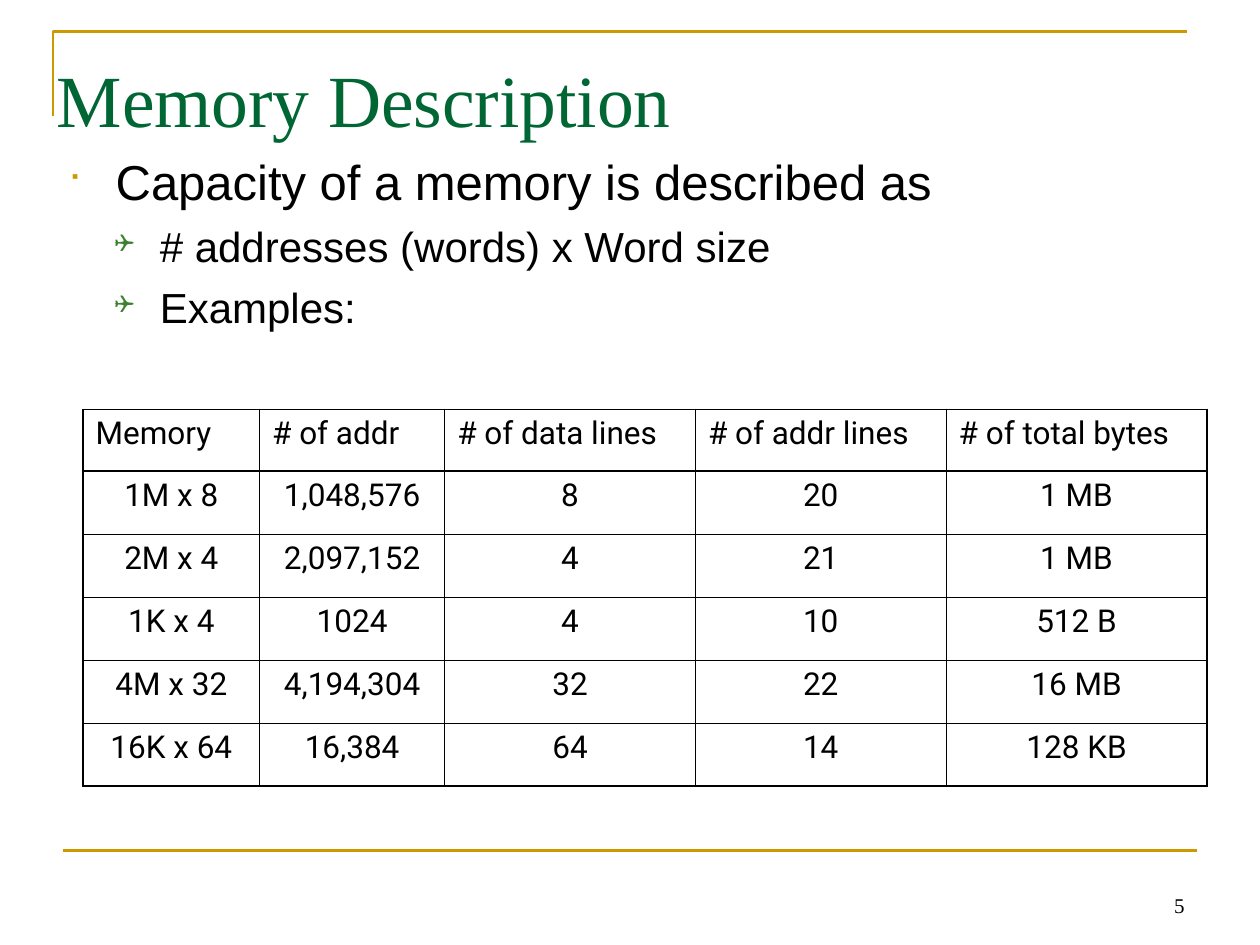
from lxml.etree import SubElement
from pptx import Presentation
from pptx.dml.color import RGBColor
from pptx.enum.text import MSO_ANCHOR, PP_ALIGN
from pptx.oxml.ns import qn
from pptx.util import Inches, Pt

GOLD = RGBColor(0xCC, 0x99, 0x00)
GREEN = RGBColor(0x00, 0x66, 0x33)
LEAF = RGBColor(0x3B, 0x81, 0x2F)
BLACK = RGBColor(0, 0, 0)
THIN, THICK = Pt(0.45), Pt(1.08)

# text, size, left margin, hanging indent, space before, bullet, colour, bullet %
OUTLINE = [
    ("Capacity of a memory is described as", 28, 0.38, 0.38, 7, "■", GOLD, 65),
    ("# addresses (words) x Word size", 24, 0.73, 0.36, 6, "❑", LEAF, 60),
    ("Examples:", 24, 0.73, 0.36, 6, "❑", LEAF, 60),
]
COLUMN_WIDTHS = [1.4, 1.47, 1.99, 1.99, 2.07]
MEMORIES = [
    ["Memory", "# of addr", "# of data lines", "# of addr lines", "# of total bytes"],
    ["1M x 8", "1,048,576", "8", "20", "1 MB"],
    ["2M x 4", "2,097,152", "4", "21", "1 MB"],
    ["1K x 4", "1024", "4", "10", "512 B"],
    ["4M x 32", "4,194,304", "32", "22", "16 MB"],
    ["16K x 64", "16,384", "64", "14", "128 KB"],
]


def add_run(paragraph, text, size, font, color=BLACK):
    run = paragraph.add_run()
    run.text = text
    run.font.size = Pt(size)
    run.font.name = font
    run.font.color.rgb = color


def add_frame_lines(slide):
    builder = slide.shapes.build_freeform(Inches(0.42), Inches(0.92))
    builder.add_line_segments(
        [(Inches(0.42), Inches(0.25)), (Inches(9.42), Inches(0.25))], close=False)
    corner = builder.convert_to_shape()
    corner.shadow.inherit = False
    corner.fill.background()
    footer_rule = slide.shapes.add_connector(
        1, Inches(0.5), Inches(6.75), Inches(9.5), Inches(6.75))
    SubElement(footer_rule._element.spPr, qn("a:effectLst"))
    for rule in (corner, footer_rule):
        rule.line.color.rgb = GOLD
        rule.line.width = Pt(1.5)


def add_title(slide, text):
    title = slide.shapes.title
    title.left, title.top = Inches(0.35), Inches(0.35)
    title.width, title.height = Inches(9), Inches(0.83)
    title.text_frame.vertical_anchor = MSO_ANCHOR.BOTTOM
    heading = title.text_frame.paragraphs[0]
    heading.alignment = PP_ALIGN.LEFT
    add_run(heading, text, 42, "Times New Roman", GREEN)


def add_text_frame(slide, left, top, width, height):
    frame = slide.shapes.add_textbox(
        Inches(left), Inches(top), Inches(width), Inches(height)).text_frame
    frame.word_wrap = True
    return frame


def set_bullet(paragraph, left, hanging, symbol, color, percent):
    properties = paragraph._p.get_or_add_pPr()
    properties.set("marL", str(Inches(left)))
    properties.set("indent", str(-Inches(hanging)))
    bullet_color = SubElement(properties, qn("a:buClr"))
    SubElement(bullet_color, qn("a:srgbClr"), val=str(color))
    SubElement(properties, qn("a:buSzPct"), val=str(percent * 1000))
    SubElement(properties, qn("a:buFont"), typeface="Wingdings")
    SubElement(properties, qn("a:buChar"), char=symbol)


def add_outline(slide):
    frame = add_text_frame(slide, 0.44, 1.15, 9.13, 2.9)
    for i, (text, size, left, hanging, before, *bullet) in enumerate(OUTLINE):
        paragraph = frame.add_paragraph() if i else frame.paragraphs[0]
        paragraph.level = 1 if i else 0
        paragraph.space_before = Pt(before)
        set_bullet(paragraph, left, hanging, *bullet)
        add_run(paragraph, text, size, "Arial")


def set_borders(cell, **widths):
    properties = cell._tc.get_or_add_tcPr()
    for position, side in enumerate(("lnL", "lnR", "lnT", "lnB")):
        line = SubElement(properties, qn(f"a:{side}"), w=str(widths[side]))
        properties.insert(position, line)
        fill = SubElement(line, qn("a:solidFill"))
        SubElement(fill, qn("a:srgbClr"), val=str(BLACK))


def add_memory_table(slide):
    last_row, last_column = len(MEMORIES) - 1, len(COLUMN_WIDTHS) - 1
    table = slide.shapes.add_table(
        last_row + 1, last_column + 1, Inches(0.66), Inches(3.25),
        Inches(sum(COLUMN_WIDTHS)), Inches(3)).table
    for column, width in zip(table.columns, COLUMN_WIDTHS):
        column.width = Inches(width)
    for r, values in enumerate(MEMORIES):
        table.rows[r].height = Inches(0.5 if r else 0.49)
        for c, value in enumerate(values):
            cell = table.cell(r, c)
            cell.fill.background()
            set_borders(
                cell,
                lnL=THICK if c == 0 else THIN,
                lnR=THICK if c == last_column else THIN,
                lnT=THICK if r <= 1 else THIN,
                lnB=THICK if r in (0, last_row) else THIN)
            paragraph = cell.text_frame.paragraphs[0]
            paragraph.space_before = Pt(4.5)
            paragraph.alignment = PP_ALIGN.CENTER if r else PP_ALIGN.LEFT
            add_run(paragraph, value, 18, "Roboto")


def add_page_number(slide, number):
    frame = add_text_frame(slide, 7.17, 6.83, 2.33, 0.5)
    frame.vertical_anchor = MSO_ANCHOR.BOTTOM
    frame.paragraphs[0].alignment = PP_ALIGN.RIGHT
    add_run(frame.paragraphs[0], number, 12, "Times New Roman")


def main():
    presentation = Presentation()
    presentation.slide_width, presentation.slide_height = Inches(10), Inches(7.5)
    slide = presentation.slides.add_slide(presentation.slide_layouts[5])
    add_frame_lines(slide)
    add_page_number(slide, "5")
    add_title(slide, "Memory Description")
    add_outline(slide)
    add_memory_table(slide)
    presentation.save("out.pptx")


if __name__ == "__main__":
    main()
